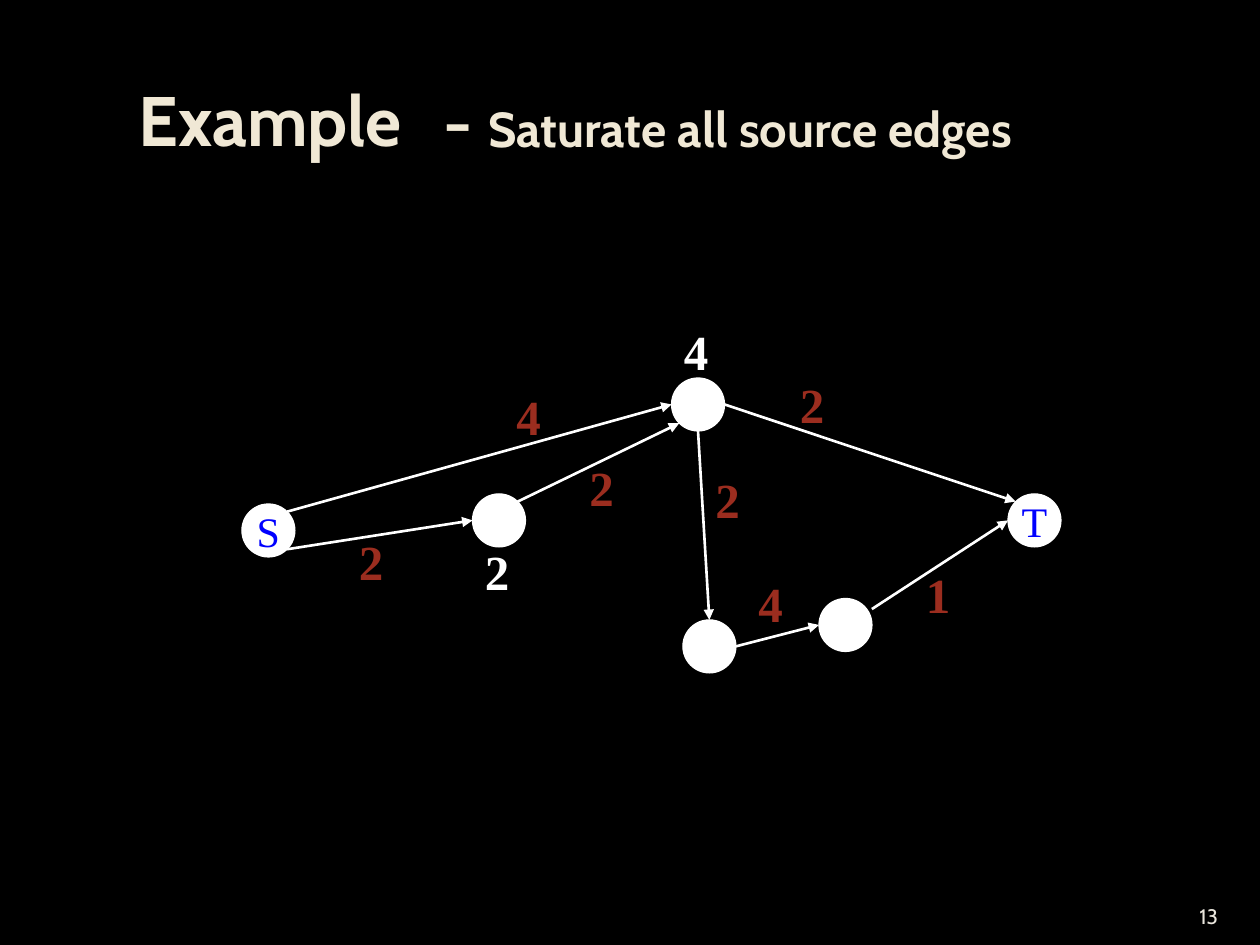
from dataclasses import dataclass

from lxml import etree
from pptx import Presentation
from pptx.dml.color import RGBColor
from pptx.enum.shapes import MSO_CONNECTOR, MSO_SHAPE
from pptx.enum.text import MSO_ANCHOR, PP_ALIGN
from pptx.oxml.ns import qn
from pptx.slide import Slide
from pptx.text.text import TextFrame
from pptx.util import Inches, Pt

STRAIGHT = MSO_CONNECTOR.STRAIGHT
OVAL = MSO_SHAPE.OVAL
TOP, MIDDLE, BOTTOM = MSO_ANCHOR.TOP, MSO_ANCHOR.MIDDLE, MSO_ANCHOR.BOTTOM
LEFT, CENTER = PP_ALIGN.LEFT, PP_ALIGN.CENTER


@dataclass(frozen=True)
class Theme:
    background: str = "000000"
    title: str = "F0E8D5"
    page: str = "E9E5DC"
    graph: str = "FFFFFF"
    terminal: str = "0000FF"
    capacity: str = "9B2D1F"
    heading_font: str = "Cabin"
    graph_font: str = "Times New Roman"
    title_size: float = 40
    label_size: float = 28
    node_size: float = 24
    page_size: float = 12
    label_gap: float = 17.5
    edge_width: float = 1.5
    node_line: float = 0.75


@dataclass(frozen=True)
class Node:
    left: float
    top: float
    name: str = ""


@dataclass(frozen=True)
class Edge:
    start: str
    start_port: tuple[float, float]
    end: str
    end_port: tuple[float, float]


@dataclass(frozen=True)
class Label:
    text: str
    left: float
    top: float
    color: str


THEME = Theme()
DIAMETER = 0.42
LABEL_WIDTH, LABEL_HEIGHT = 0.42, 0.57

# Ports are offsets from a node's centre, measured in radii.
DIAGONAL = 0.71
NORTH, SOUTH, WEST, EAST = (0, -1), (0, 1), (-1, 0), (1, 0)
NORTH_EAST, SOUTH_EAST = (DIAGONAL, -DIAGONAL), (DIAGONAL, DIAGONAL)
NORTH_WEST, SOUTH_WEST = (-DIAGONAL, -DIAGONAL), (-DIAGONAL, DIAGONAL)
EAST_RAISED = (1, -0.6)

NODES = {
    "source": Node(1.92, 4, "S"),
    "near": Node(3.75, 3.92),
    "upper": Node(5.33, 3),
    "lower": Node(5.42, 4.92),
    "last": Node(6.5, 4.75),
    "sink": Node(8, 3.92, "T"),
}
EDGES = (
    Edge("source", NORTH_EAST, "upper", WEST),
    Edge("source", SOUTH_EAST, "near", WEST),
    Edge("near", NORTH_EAST, "upper", SOUTH_WEST),
    Edge("upper", EAST, "sink", NORTH_WEST),
    Edge("upper", SOUTH, "lower", NORTH),
    Edge("lower", EAST, "last", WEST),
    Edge("last", EAST_RAISED, "sink", WEST),
)
LABELS = (
    Label("4", 4, 3.02, THEME.capacity),
    Label("2", 2.75, 4.17, THEME.capacity),
    Label("2", 4.58, 3.58, THEME.capacity),
    Label("2", 6.25, 2.92, THEME.capacity),
    Label("2", 5.58, 3.68, THEME.capacity),
    Label("4", 5.92, 4.5, THEME.capacity),
    Label("1", 7.25, 4.43, THEME.capacity),
    Label("2", 3.75, 4.25, THEME.graph),
    Label("4", 5.33, 2.5, THEME.graph),
)


def rgb(color: str) -> RGBColor:
    return RGBColor.from_string(color)


def write(frame: TextFrame, *runs: tuple[str, float], font: str, color: str,
          bold: bool = False, align: PP_ALIGN = LEFT, anchor: MSO_ANCHOR = TOP,
          before: float = 0, wrap: bool = True) -> None:
    """Fill a frame with one paragraph of (text, size) runs."""
    frame.word_wrap = wrap
    frame.vertical_anchor = anchor
    paragraph = frame.paragraphs[0]
    paragraph.alignment = align
    paragraph.space_before = Pt(before)
    for text, size in runs:
        run = paragraph.add_run()
        run.text = text
        run.font.name = font
        run.font.size = Pt(size)
        run.font.bold = bold
        run.font.color.rgb = rgb(color)


def add_frame(slide: Slide, left: float, top: float, width: float, height: float) -> TextFrame:
    box = slide.shapes.add_textbox(Inches(left), Inches(top), Inches(width), Inches(height))
    return box.text_frame


def port_point(node: Node, port: tuple[float, float]) -> tuple[Inches, Inches]:
    radius = DIAMETER / 2
    return (Inches(node.left + radius * (1 + port[0])),
            Inches(node.top + radius * (1 + port[1])))


def draw_edge(slide: Slide, edge: Edge) -> None:
    start = port_point(NODES[edge.start], edge.start_port)
    end = port_point(NODES[edge.end], edge.end_port)
    arrow = slide.shapes.add_connector(STRAIGHT, *start, *end)
    arrow.line.color.rgb = rgb(THEME.graph)
    arrow.line.width = Pt(THEME.edge_width)
    etree.SubElement(arrow.line._get_or_add_ln(), qn("a:tailEnd"), type="triangle")
    etree.SubElement(arrow._element.spPr, qn("a:effectLst"))


def draw_node(slide: Slide, node: Node) -> None:
    circle = slide.shapes.add_shape(OVAL, Inches(node.left), Inches(node.top),
                                    Inches(DIAMETER), Inches(DIAMETER))
    circle.shadow.inherit = False
    circle.fill.solid()
    circle.fill.fore_color.rgb = rgb(THEME.graph)
    circle.line.color.rgb = rgb(THEME.graph)
    circle.line.width = Pt(THEME.node_line)
    if node.name:
        write(circle.text_frame, (node.name, THEME.node_size), font=THEME.graph_font,
              color=THEME.terminal, align=CENTER, anchor=MIDDLE, wrap=False)


def draw_label(slide: Slide, label: Label) -> None:
    write(add_frame(slide, label.left, label.top, LABEL_WIDTH, LABEL_HEIGHT),
          (label.text, THEME.label_size), font=THEME.graph_font, color=label.color,
          bold=True, before=THEME.label_gap)


def main() -> None:
    deck = Presentation()
    deck.slide_width, deck.slide_height = Inches(10), Inches(7.5)
    slide = deck.slides.add_slide(deck.slide_layouts[6])
    slide.background.fill.solid()
    slide.background.fill.fore_color.rgb = rgb(THEME.background)

    write(add_frame(slide, 1, 0.56, 2.75, 1), ("Example", THEME.title_size),
          font=THEME.heading_font, color=THEME.title, bold=True)
    write(add_frame(slide, 3.42, 0.57, 6, 1), ("- ", THEME.title_size),
          ("Saturate all source edges", THEME.label_size),
          font=THEME.heading_font, color=THEME.title, bold=True)

    for edge in EDGES:
        draw_edge(slide, edge)
    for node in NODES.values():
        draw_node(slide, node)
    for label in LABELS:
        draw_label(slide, label)

    write(add_frame(slide, 9.42, 7.02, 0.5, 0.4), ("13", THEME.page_size),
          font=THEME.heading_font, color=THEME.page, anchor=BOTTOM)
    deck.save("out.pptx")


if __name__ == "__main__":
    main()
